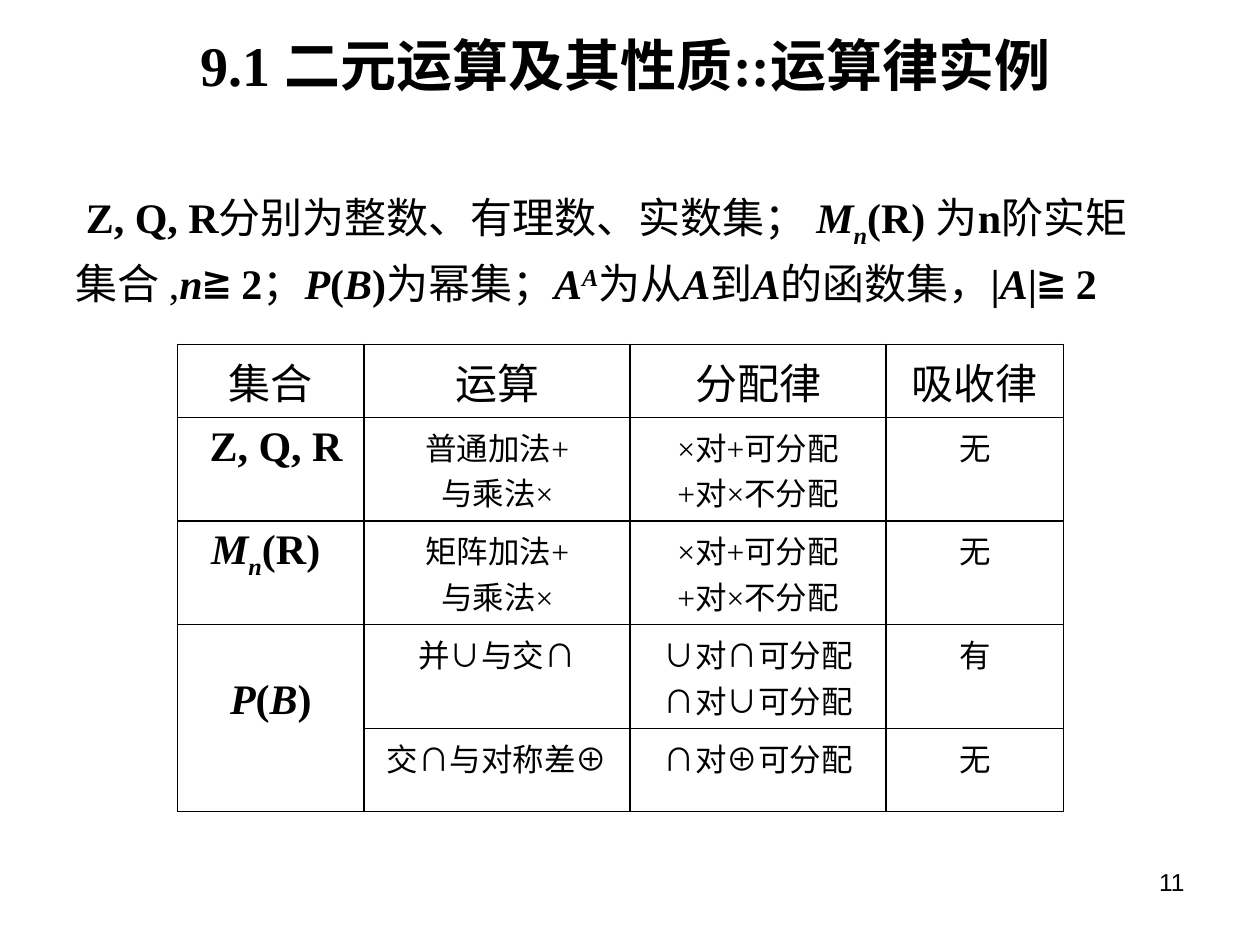
from dataclasses import dataclass

from lxml.etree import SubElement
from pptx import Presentation
from pptx.dml.color import RGBColor
from pptx.enum.text import MSO_ANCHOR, PP_ALIGN
from pptx.oxml.ns import qn
from pptx.util import Pt

COLORS = {"ink": "000000"}
SERIF, SANS, HAN = "Times New Roman", "Arial", "Noto Sans CJK SC"


@dataclass(frozen=True)
class Span:
    text: str
    bold: bool = False
    italic: bool = False
    baseline: int = 0
    font: str = SERIF


@dataclass(frozen=True)
class Entry:
    lines: list[list[Span]]
    size: float = 18
    top_margin: float = 3.6


def bold(text: str) -> Span:
    return Span(text, bold=True)


def variable(text: str, baseline: int = 0) -> Span:
    return Span(text, True, True, baseline)


def entry(*lines: str, font: str = SERIF, size: float = 18) -> Entry:
    return Entry([[Span(line, font=font)] for line in lines], size)


def write(frame, lines: list[list[Span]], size: float, align=PP_ALIGN.CENTER) -> None:
    """Fill a text frame with one paragraph per line of spans."""
    for index, spans in enumerate(lines):
        paragraph = frame.paragraphs[0] if index == 0 else frame.add_paragraph()
        paragraph.alignment = align
        for span in spans:
            run = paragraph.add_run()
            run.text = span.text
            font = run.font
            font.name, font.size = span.font, Pt(size)
            font.bold, font.italic = span.bold, span.italic
            font.color.rgb = RGBColor.from_string(COLORS["ink"])
            properties = run._r.get_or_add_rPr()
            SubElement(properties, qn("a:ea"), typeface=HAN)
            if span.baseline:
                properties.set("baseline", str(span.baseline * 1000))


def add_text(page, left: float, top: float, width: float, height: float,
             lines: list[list[Span]], size: float, align=PP_ALIGN.CENTER):
    box = page.shapes.add_textbox(Pt(left), Pt(top), Pt(width), Pt(height))
    box.text_frame.word_wrap = True
    write(box.text_frame, lines, size, align)
    return box.text_frame


def add_borders(cell) -> None:
    properties = cell._tc.get_or_add_tcPr()
    for position, side in enumerate(("lnL", "lnR", "lnT", "lnB")):
        line = properties.makeelement(qn(f"a:{side}"), {"w": str(Pt(1))})
        fill = SubElement(line, qn("a:solidFill"))
        SubElement(fill, qn("a:srgbClr"), val=COLORS["ink"])
        properties.insert(position, line)


MATRICES = [variable("M"), variable("n", -25), bold("(R) ")]
POWER_SET = [variable("P"), bold("("), variable("B"), bold(")")]

INTRO = [
    [bold(" Z, Q, R"), Span("分别为整数、有理数、实数集； "), *MATRICES,
     Span("为"), bold("n"), Span("阶实矩")],
    [Span("集合 ,"), variable("n"), bold("≧ 2"), Span("；"), *POWER_SET,
     Span("为幂集；"), variable("A"), variable("A", 30), Span("为从"),
     variable("A"), Span("到"), variable("A"), Span("的函数集，"),
     bold("|"), variable("A"), bold("|≧ 2")],
]

DISTRIBUTION = entry("×对+可分配", "+对×不分配")
ABSENT = entry("无", font=SANS)
ROWS = [
    [entry(name, font=SANS, size=24) for name in ("集合", "运算", "分配律", "吸收律")],
    [Entry([[bold(" Z, Q, R")]], 24), entry("普通加法+", "与乘法×"),
     DISTRIBUTION, entry("无")],
    [Entry([MATRICES], 24), entry("矩阵加法+", "与乘法×"), DISTRIBUTION, ABSENT],
    [Entry([POWER_SET], 24, top_margin=30), entry("并∪与交∩"),
     entry("∪对∩可分配", "∩对∪可分配"), entry("有", font=SANS)],
    [None, entry("交∩与对称差⊕"), entry("∩对⊕可分配"), ABSENT],
]
COLUMN_WIDTHS = [106.6, 152, 146.2, 101.5]
ROW_HEIGHTS = [41.8, 59.2, 59.2, 59.2, 47.5]


def add_law_table(page, left: float, top: float) -> None:
    frame = page.shapes.add_table(len(ROWS), len(COLUMN_WIDTHS), Pt(left), Pt(top),
                                  Pt(sum(COLUMN_WIDTHS)), Pt(sum(ROW_HEIGHTS)))
    table = frame.table
    table.first_row = table.horz_banding = False
    for column, width in zip(table.columns, COLUMN_WIDTHS):
        column.width = Pt(width)
    for row, height in zip(table.rows, ROW_HEIGHTS):
        row.height = Pt(height)
    table.cell(3, 0).merge(table.cell(4, 0))
    for row, entries in zip(table.rows, ROWS):
        for cell, content in zip(row.cells, entries):
            cell.fill.background()
            add_borders(cell)
            if content:
                cell.margin_top = Pt(content.top_margin)
                write(cell.text_frame, content.lines, content.size)


def main() -> None:
    deck = Presentation()
    deck.slide_width, deck.slide_height = Pt(720), Pt(540)
    page = deck.slides.add_slide(deck.slide_layouts[6])

    add_text(page, 516, 492, 168, 37.5, [[Span("11", font=SANS)]], 14, PP_ALIGN.RIGHT)

    intro = add_text(page, 36, 106, 648, 80, INTRO, 24, PP_ALIGN.LEFT)
    for paragraph in intro.paragraphs:
        paragraph.space_before = Pt(4.8)
        properties = paragraph._p.get_or_add_pPr()
        properties.set("marL", str(Pt(27)))
        properties.set("indent", str(Pt(-27)))

    heading = [bold("9.1 二元运算及其性质::运算律"), Span("实例", bold=True, font=HAN)]
    title = add_text(page, 60, 20, 595, 33, [heading], 32)
    title.vertical_anchor = MSO_ANCHOR.MIDDLE

    add_law_table(page, 101.5, 196.8)
    deck.save("out.pptx")


if __name__ == "__main__":
    main()
